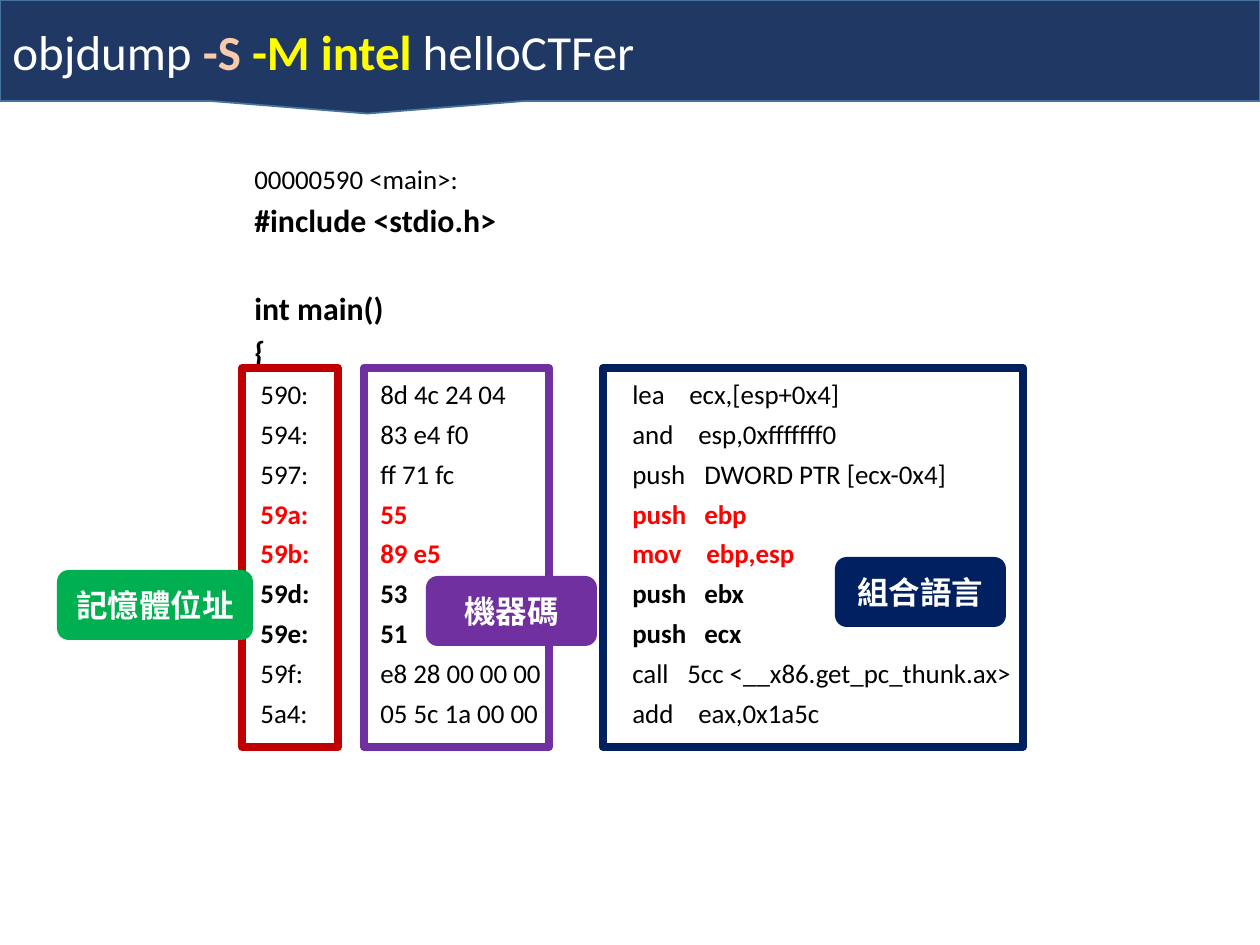
from dataclasses import dataclass
from typing import Optional

from lxml.etree import SubElement
from pptx import Presentation
from pptx.dml.color import RGBColor
from pptx.enum.shapes import MSO_SHAPE as Kind
from pptx.enum.text import MSO_ANCHOR as Anchor, PP_ALIGN as Align
from pptx.oxml.ns import qn
from pptx.util import Pt

PX = 914400 // 126
WHITE = RGBColor(0xFF, 0xFF, 0xFF)
BLACK = RGBColor(0x00, 0x00, 0x00)
RED = RGBColor(0xFF, 0x00, 0x00)
PEACH = RGBColor(0xF8, 0xCB, 0xAD)
YELLOW = RGBColor(0xFF, 0xFF, 0x00)
BANNER = RGBColor(0x20, 0x38, 0x64)
EDGE = RGBColor(0x43, 0x73, 0x9E)
CRIMSON = RGBColor(0xC0, 0x00, 0x00)
PURPLE = RGBColor(0x70, 0x30, 0xA0)
NAVY = RGBColor(0x00, 0x20, 0x60)
GREEN = RGBColor(0x00, 0xB0, 0x50)


@dataclass
class Box:
    left: int
    top: int
    width: int
    height: int
    kind: Kind = Kind.RECTANGLE
    fill: Optional[RGBColor] = None
    line: Optional[RGBColor] = None
    weight: float = 4.5
    label: str = ""


@dataclass
class Code:
    addr: str
    bytes: str
    verb: str
    args: str
    stop: int
    color: RGBColor = BLACK
    bold: bool = False


def write(para, text: str, *, size: float, color: RGBColor = BLACK,
          bold: bool = False) -> None:
    run = para.add_run()
    run.text = text
    font = run.font
    font.name, font.size, font.bold = "Calibri", Pt(size), bold
    font.color.rgb = color


def draw(box: Box):
    shape = slide.shapes.add_shape(
        box.kind, box.left * PX, box.top * PX, box.width * PX, box.height * PX)
    shape.shadow.inherit = False
    if box.fill is None:
        shape.fill.background()
    else:
        shape.fill.solid()
        shape.fill.fore_color.rgb = box.fill
    if box.line is None:
        shape.line.fill.background()
    else:
        shape.line.color.rgb = box.line
        shape.line.width = Pt(box.weight)
    frame = shape.text_frame
    frame.vertical_anchor = Anchor.MIDDLE
    if box.label:
        para = frame.paragraphs[0]
        para.alignment = Align.CENTER
        write(para, box.label, size=18, color=WHITE, bold=True)
    return shape


def add_line(before: float = 9.8):
    first = frame.paragraphs[0]
    para = frame.add_paragraph() if first.runs else first
    para.line_spacing = 0.7
    para.space_before = Pt(before)
    return para


def set_tabs(para, stops: list[int]) -> None:
    tabs = SubElement(para._p.get_or_add_pPr(), qn("a:tabLst"))
    for stop in stops:
        SubElement(tabs, qn("a:tab"), pos=str(stop * PX), algn="l")


deck = Presentation()
deck.slide_width, deck.slide_height = 1260 * PX, 945 * PX
slide = deck.slides.add_slide(deck.slide_layouts[6])

frame = slide.shapes.add_textbox(242 * PX, 165 * PX, 781 * PX, 582 * PX).text_frame
frame.word_wrap = True
frame.margin_right = 0

write(add_line(), "00000590 <main>:", size=15.4)
for text, before in [("#include <stdio.h>", 9.8), ("int main()", 35), ("{", 9.8)]:
    write(add_line(before), text, size=18.2, bold=True)

CODES = [
    Code("590", "8d 4c 24 04", "lea", "ecx,[esp+0x4]", 435),
    Code("594", "83 e4 f0", "and", "esp,0xfffffff0", 444),
    Code("597", "ff 71 fc", "push", "DWORD PTR [ecx-0x4]", 450),
    Code("59a", "55", "push", "ebp", 450, RED, True),
    Code("59b", "89 e5", "mov", "ebp,esp", 452, RED, True),
    Code("59d", "53", "push", "ebx", 450, bold=True),
    Code("59e", "51", "push", "ecx", 450, bold=True),
    Code("59f", "e8 28 00 00 00", "call", "5cc <__x86.get_pc_thunk.ax>", 433),
    Code("5a4", "05 5c 1a 00 00", "add", "eax,0x1a5c", 444),
]
for code in CODES:
    para = add_line()
    set_tabs(para, [126, 378, code.stop])
    write(para, f" {code.addr}:\t{code.bytes}\t{code.verb}\t{code.args}",
          size=15.4, color=code.color, bold=code.bold)

title = draw(Box(0, 0, 1260, 101, Kind.RECTANGULAR_CALLOUT, BANNER, EDGE, 1))
para = title.text_frame.paragraphs[0]
para.alignment = Align.LEFT
for text, color, bold in [("objdump ", WHITE, False), ("-S ", PEACH, True),
                          ("-M intel ", YELLOW, True), ("helloCTFer", WHITE, False)]:
    write(para, text, size=28, color=color, bold=bold)

for left, width, color in [(242, 96, CRIMSON), (364, 185, PURPLE), (603, 420, NAVY)]:
    draw(Box(left, 368, width, 379, line=color))

for left, top, width, color, label in [(835, 557, 171, NAVY, "組合語言"),
                                       (426, 576, 171, PURPLE, "機器碼"),
                                       (57, 570, 196, GREEN, "記憶體位址")]:
    draw(Box(left, top, width, 70, Kind.ROUNDED_RECTANGLE, color, label=label))

deck.save("out.pptx")
